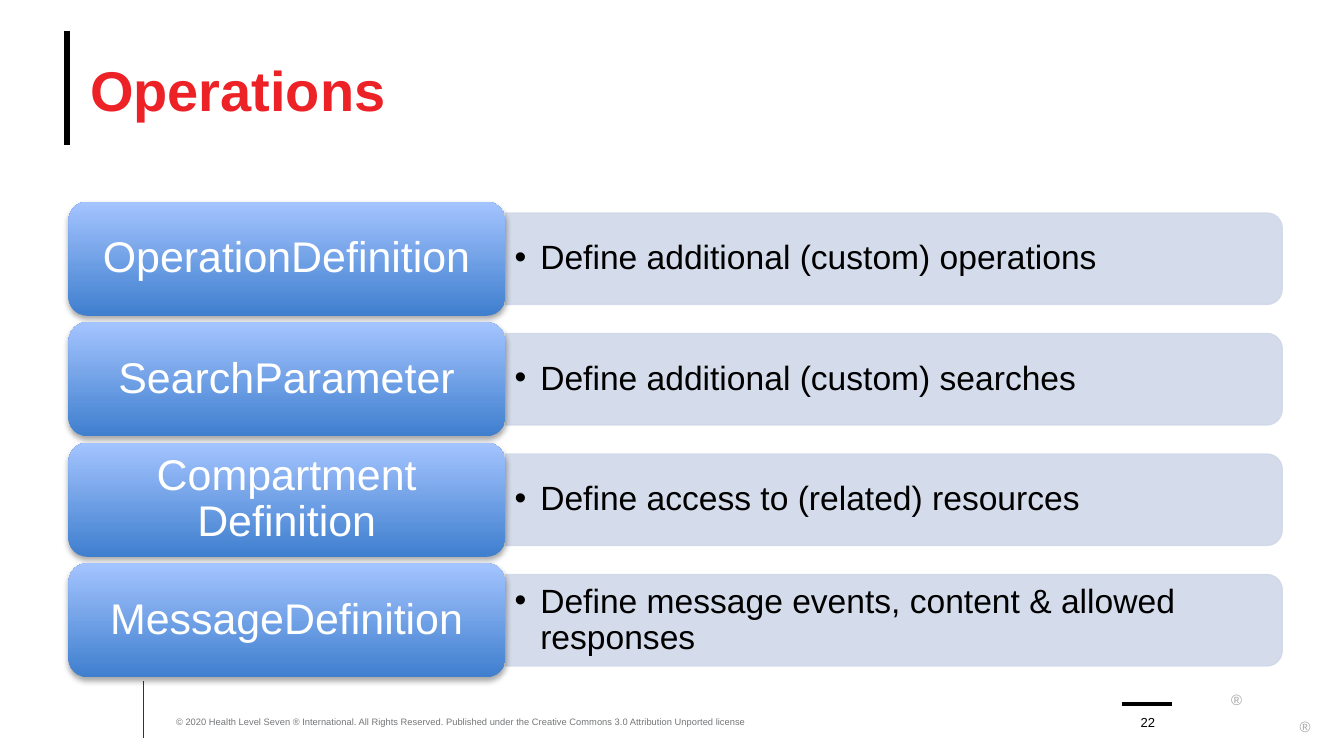
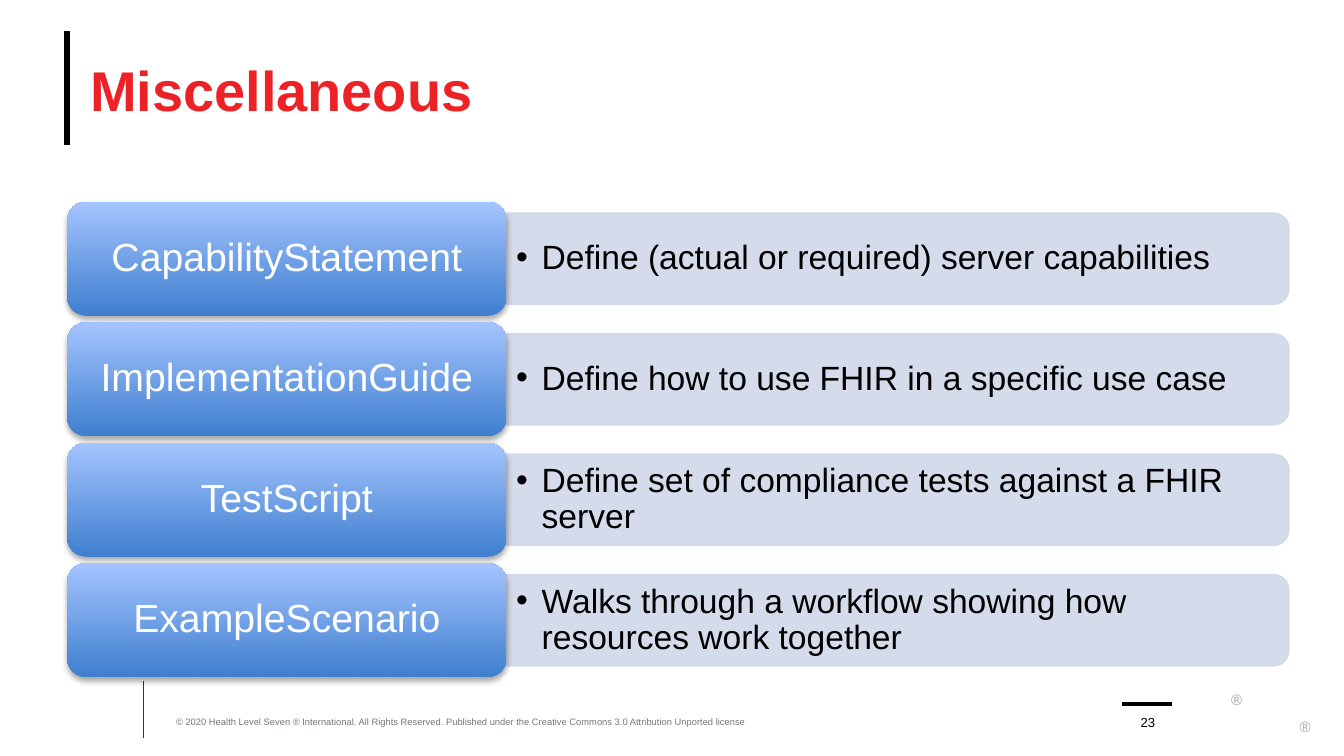
from lxml.etree import SubElement
from pptx import Presentation
from pptx.dml.color import RGBColor
from pptx.enum.shapes import MSO_CONNECTOR, MSO_SHAPE
from pptx.enum.text import MSO_ANCHOR, MSO_AUTO_SIZE, PP_ALIGN
from pptx.oxml.ns import qn
from pptx.util import Inches, Pt

FONT = "Arial"
RED, BLACK, WHITE = "EC2227", "000000", "FFFFFF"
BROWN, GREY, PALE = "3D3029", "747679", "A6A6A6"
PANEL, DARK, LIGHT = "D0D8E8", "3F7FCE", "A4C4FF"
NOTICE = ("© 2020 Health Level Seven ® International. All Rights Reserved. "
          "Published under the Creative Commons 3.0 Attribution Unported license")

TOP, LAST = 1.5, 4.19      # tops of the first and last labels
LABEL_H, PANEL_H, TEXT_H = 0.85, 0.68, 0.62

OPERATIONS = [
    ("OperationDefinition", "Define additional (custom) operations"),
    ("SearchParameter", "Define additional (custom) searches"),
    ("Compartment Definition", "Define access to (related) resources"),
    ("MessageDefinition", "Define message events, content & allowed responses"),
]
MISC = [
    ("CapabilityStatement", "Define (actual or required) server capabilities"),
    ("ImplementationGuide", "Define how to use FHIR in a specific use case"),
    ("TestScript", "Define set of compliance tests against a FHIR server"),
    ("ExampleScenario",
     "Walks through a workflow showing how resources work together"),
]


def color(value):
    return RGBColor.from_string(value)


def write(shape, text, size, tone, align=PP_ALIGN.LEFT, anchor=MSO_ANCHOR.MIDDLE,
          inset=(0, 0), bold=False, wrap=True):
    """Set the only paragraph of a shape and return it; inset is (side, top)."""
    frame = shape.text_frame
    frame.word_wrap = wrap
    frame.auto_size = MSO_AUTO_SIZE.NONE
    frame.vertical_anchor = anchor
    frame.margin_left = frame.margin_right = Inches(inset[0])
    frame.margin_top = frame.margin_bottom = Inches(inset[1])
    para = frame.paragraphs[0]
    para.alignment = align
    run = para.add_run()
    run.text = text
    font = run.font
    font.name, font.size, font.bold = FONT, Pt(size), bold
    font.color.rgb = color(tone)
    return para


def add_text(slide, box, *args, **style):
    shape = slide.shapes.add_textbox(*map(Inches, box))
    return write(shape, *args, **style)


def add_line(slide, x1, y1, x2, y2, tone, width):
    line = slide.shapes.add_connector(
        MSO_CONNECTOR.STRAIGHT, *map(Inches, (x1, y1, x2, y2)))
    line.line.color.rgb = color(tone)
    line.line.width = Pt(width)
    SubElement(line.element.spPr, qn("a:effectLst"))


def add_shape(slide, kind, box):
    shape = slide.shapes.add_shape(kind, *map(Inches, box))
    shape.shadow.inherit = False
    return shape


def add_bullet(para):
    props = para._p.get_or_add_pPr()
    props.set("marL", str(Inches(0.19)))
    props.set("indent", str(-Inches(0.19)))
    SubElement(props, qn("a:buFont"), typeface=FONT)
    SubElement(props, qn("a:buChar"), char="•")


def add_shadow(shape):
    effects = shape.element.spPr.find(qn("a:effectLst"))
    outer = SubElement(effects, qn("a:outerShdw"), blurRad=str(Pt(3.1)),
                       dist=str(Pt(1.8)), dir="5400000", rotWithShape="0")
    tone = SubElement(outer, qn("a:srgbClr"), val=BLACK)
    SubElement(tone, qn("a:alpha"), val="35000")


def add_panel(slide, x, mid, span, text):
    """Draw a bar rounded at its right end, with a bulleted text on it."""
    bar = add_shape(slide, MSO_SHAPE.ROUND_2_SAME_RECTANGLE,
                    (x + (span - PANEL_H) / 2, mid - span / 2, PANEL_H, span))
    bar.rotation = 90
    bar.fill.solid()
    bar.fill.fore_color.rgb = color(PANEL)
    bar.line.color.rgb = color(PANEL)
    bar.line.width = Pt(0.75)
    for tone in bar.element.spPr.iter(qn("a:srgbClr")):
        SubElement(tone, qn("a:alpha"), val="90000")
    para = add_text(slide, (x, mid - TEXT_H / 2, span - 0.03, TEXT_H),
                    text, 18, BLACK, inset=(0.07, 0.04))
    para.line_spacing = 0.9
    add_bullet(para)


def add_label(slide, x, y, width, text, size):
    label = add_shape(slide, MSO_SHAPE.ROUNDED_RECTANGLE, (x, y, width, LABEL_H))
    label.fill.gradient()
    label.fill.gradient_angle = 90
    for stop, tone in zip(label.fill.gradient_stops, (DARK, LIGHT)):
        stop.color.rgb = color(tone)
    label.line.fill.background()
    add_shadow(label)
    para = write(label, text, size, WHITE, PP_ALIGN.CENTER, inset=(0.09, 0.04))
    para.line_spacing = 0.9


def add_rows(slide, rows, x, width, span, size):
    step = (LAST - TOP) / (len(rows) - 1)
    for i, (name, text) in enumerate(rows):
        y = TOP + i * step
        add_panel(slide, x + width, y + LABEL_H / 2, span, text)
        add_label(slide, x, y, width, name, size)


def add_page(deck, title, number):
    """Add a slide with its title, rules and footer."""
    slide = deck.slides.add_slide(deck.slide_layouts[5])
    add_line(slide, 0.5, 0.23, 0.5, 1.08, BLACK, 3.25)
    add_line(slide, 1.07, 5.07, 1.07, 5.49, BROWN, 0.5)
    add_line(slide, 8.35, 5.24, 8.72, 5.24, BLACK, 2)
    for x, y in ((9.16, 5.1), (9.67, 5.3)):
        add_text(slide, (x, y, 0.11, 0.09), "®", 8, PALE,
                 anchor=MSO_ANCHOR.TOP, inset=(0, 0.05), wrap=False)
    head = slide.shapes.title
    head.left, head.top, head.width, head.height = map(
        Inches, (0.67, 0.23, 9, 0.86))
    write(head, title, 30, RED, bold=True)
    add_text(slide, (1.31, 5.24, 4.95, 0.17), NOTICE, 5, GREY,
             anchor=MSO_ANCHOR.BOTTOM)
    add_text(slide, (8.39, 5.24, 0.3, 0.19), str(number), 7, BLACK,
             PP_ALIGN.CENTER, MSO_ANCHOR.BOTTOM)
    return slide


def main():
    deck = Presentation()
    deck.slide_width = Inches(10)
    deck.slide_height = deck.slide_width * 9 // 16
    add_rows(add_page(deck, "Operations", 22), OPERATIONS, 0.51, 3.25, 5.78, 23)
    add_rows(add_page(deck, "Miscellaneous", 23), MISC, 0.5, 3.27, 5.82, 21)
    deck.save("out.pptx")


if __name__ == "__main__":
    main()
